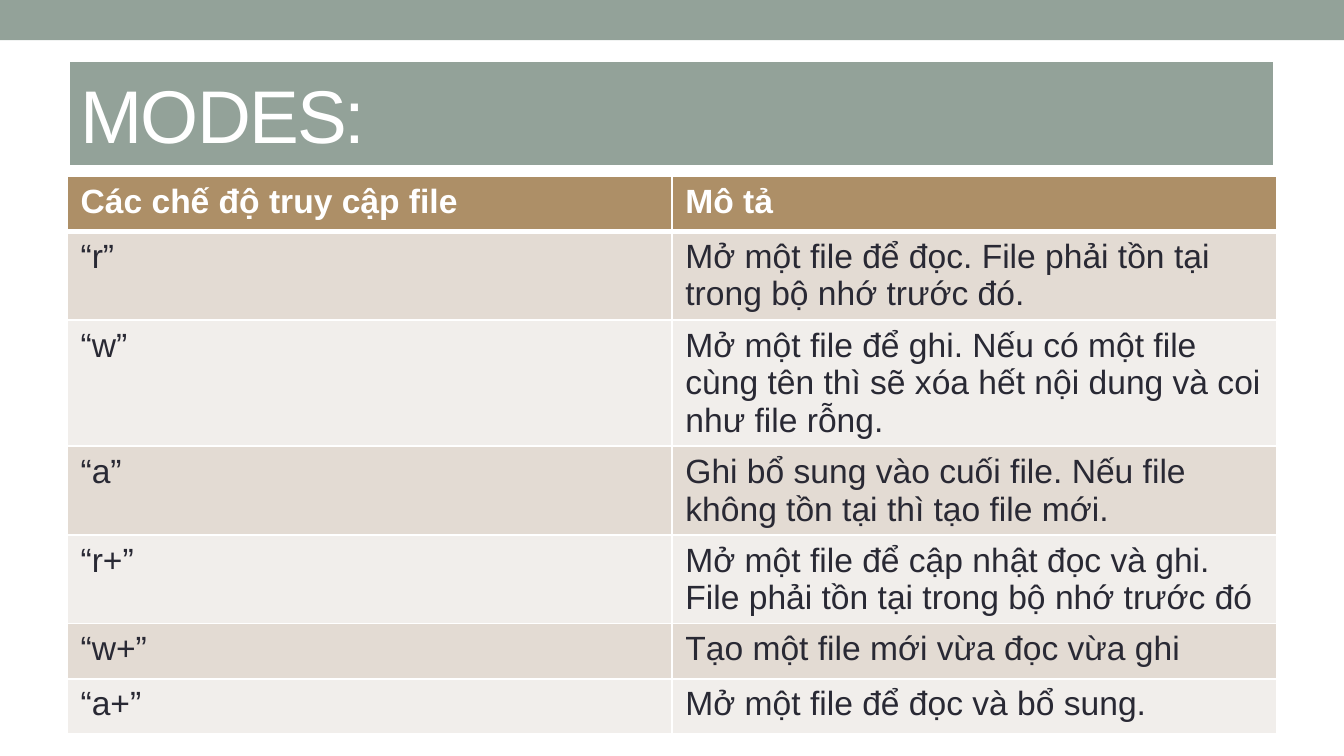
from lxml.etree import SubElement
from pptx import Presentation
from pptx.dml.color import RGBColor
from pptx.enum.shapes import MSO_SHAPE
from pptx.enum.text import MSO_ANCHOR, MSO_AUTO_SIZE, PP_ALIGN
from pptx.oxml.ns import qn
from pptx.util import Inches, Pt


def rgb(color):
    return RGBColor.from_string(color)


def add_border(cell, side, width):
    ln = SubElement(cell._tc.get_or_add_tcPr(), qn(f"a:ln{side}"), w=str(Pt(width)))
    fill = SubElement(ln, qn("a:solidFill"))
    SubElement(fill, qn("a:srgbClr"), val="FFFFFF")


ROWS = [
    ("Các chế độ truy cập file", "Mô tả"),
    ("“r”", "Mở một file để đọc. File phải tồn tại trong bộ nhớ trước đó."),
    ("“w”", "Mở một file để ghi. Nếu có một file cùng tên thì sẽ xóa hết nội dung và coi như file rỗng."),
    ("“a”", "Ghi bổ sung vào cuối file. Nếu file không tồn tại thì tạo file mới."),
    ("“r+”", "Mở một file để cập nhật đọc và ghi. File phải tồn tại trong bộ nhớ trước đó"),
    ("“w+”", "Tạo một file mới vừa đọc vừa ghi"),
    ("“a+”", "Mở một file để đọc và bổ sung."),
]

prs = Presentation()
prs.slide_width = Inches(10)
prs.slide_height = Inches(10 * 9 / 16)
s = prs.slides.add_slide(prs.slide_layouts[5])

bar = s.shapes.add_shape(MSO_SHAPE.RECTANGLE, 0, 0, prs.slide_width, Inches(0.3))
bar.shadow.inherit = False
bar.fill.solid()
bar.fill.fore_color.rgb = rgb("93A299")
bar.line.fill.background()

title = s.shapes.title
title.left, title.top = Inches(0.5), Inches(0.44)
title.width, title.height = Inches(9), Inches(0.81)
title.fill.solid()
title.fill.fore_color.rgb = rgb("93A299")
title.line.color.rgb = rgb("FFFFFF")
title.line.width = Pt(3.5)
tf = title.text_frame
tf.text = "MODES:"
tf.auto_size = MSO_AUTO_SIZE.NONE
tf.vertical_anchor = MSO_ANCHOR.MIDDLE
p = tf.paragraphs[0]
p.alignment = PP_ALIGN.LEFT
r = p.runs[0]
r.font.name = "Arial"
r.font.size = Pt(40)
r.font.color.rgb = rgb("FFFFFF")
r.font._element.set("spc", "-100")

row_height = Inches(0.41)
table = s.shapes.add_table(len(ROWS), 2, Inches(0.5), Inches(1.31),
                           Inches(9), row_height * len(ROWS)).table
for i, row in enumerate(ROWS):
    table.rows[i].height = row_height
    header = i == 0
    if header:
        fill = "AD8F67"
    else:
        fill = "E3DBD3" if i % 2 else "F1EEEB"
    for j, text in enumerate(row):
        cell = table.cell(i, j)
        for side in "LRTB":
            add_border(cell, side, 3 if (i, side) in [(0, "B"), (1, "T")] else 1)
        cell.fill.solid()
        cell.fill.fore_color.rgb = rgb(fill)
        cell.text_frame.text = text
        r = cell.text_frame.paragraphs[0].runs[0]
        r.font.name = "Arial"
        r.font.size = Pt(18)
        r.font.bold = header
        r.font.color.rgb = rgb("FFFFFF" if header else "292934")

prs.save("out.pptx")
